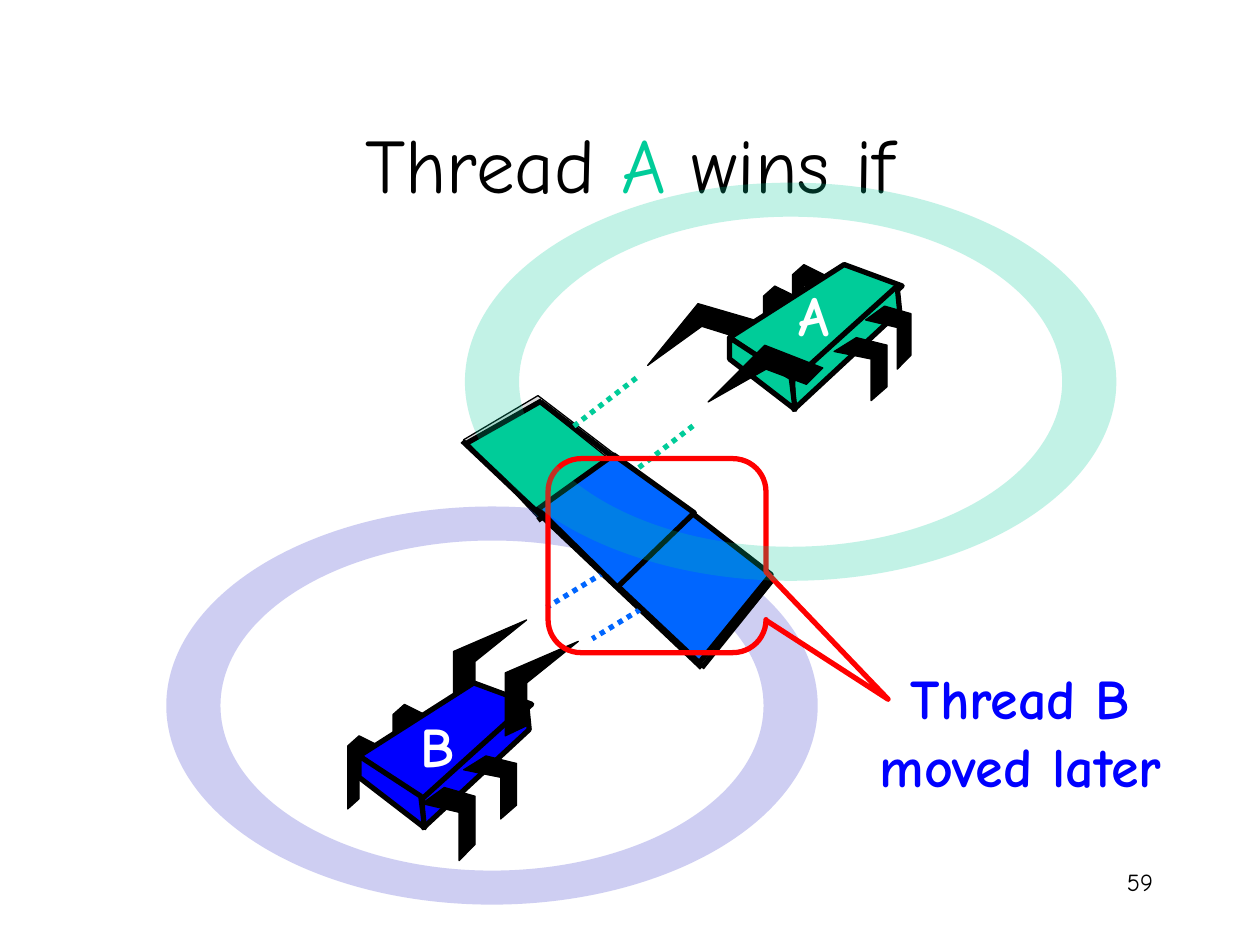
from dataclasses import dataclass

from lxml import etree
from pptx import Presentation
from pptx.dml.color import RGBColor
from pptx.enum.dml import MSO_LINE
from pptx.enum.shapes import MSO_CONNECTOR, MSO_SHAPE
from pptx.enum.text import MSO_ANCHOR, PP_ALIGN
from pptx.oxml import parse_xml
from pptx.oxml.ns import qn
from pptx.util import Inches, Pt

LEFT, CENTER, RIGHT = PP_ALIGN.LEFT, PP_ALIGN.CENTER, PP_ALIGN.RIGHT
MIDDLE = MSO_ANCHOR.MIDDLE
STRAIGHT = MSO_CONNECTOR.STRAIGHT
DOTTED = MSO_LINE.ROUND_DOT
OVAL, CALLOUT = MSO_SHAPE.OVAL, MSO_SHAPE.ROUNDED_RECTANGULAR_CALLOUT
DRAWING = "http://schemas.openxmlformats.org/drawingml/2006/main"


@dataclass(frozen=True)
class Theme:
    """Colours, font and sizes of the slide."""

    font: str = "Comic Neue"
    black: str = "000000"
    white: str = "FFFFFF"
    gray: str = "DDDDDD"
    green: str = "00CC99"
    blue: str = "0000FF"
    cell_blue: str = "0066FF"
    ring_blue: str = "3333CC"
    red: str = "FF0000"
    title: int = 44
    label: int = 32
    number: int = 14
    thin: float = 0.75
    thick: float = 3
    ring_alpha: int = 24


class SlideBuilder:
    """Draws styled elements on the current slide."""

    def __init__(self, slide, theme):
        self.slide = slide
        self.theme = theme

    def style_run(self, run, size, color, bold=False):
        run.font.name = self.theme.font
        run.font.size = Pt(size)
        run.font.bold = bold
        run.font.color.rgb = RGBColor.from_string(color)

    def style_shape(self, shape, fill=None, line=None, width=None):
        shape.shadow.inherit = False
        if fill:
            shape.fill.solid()
            shape.fill.fore_color.rgb = RGBColor.from_string(fill)
        else:
            shape.fill.background()
        if line:
            shape.line.color.rgb = RGBColor.from_string(line)
            shape.line.width = Pt(width)
        else:
            shape.line.fill.background()

    def title(self, box, parts):
        shape = self.slide.shapes.title
        shape.left, shape.top, shape.width, shape.height = map(Inches, box)
        shape.text_frame.vertical_anchor = MIDDLE
        paragraph = shape.text_frame.paragraphs[0]
        paragraph.alignment = CENTER
        for text, color in parts:
            run = paragraph.add_run()
            run.text = text
            self.style_run(run, self.theme.title, color)

    def text(self, box, text, size, color, alignment, bold=False, wrap=True):
        frame = self.slide.shapes.add_textbox(*map(Inches, box)).text_frame
        frame.word_wrap = wrap
        frame.text = text
        paragraph = frame.paragraphs[0]
        paragraph.alignment = alignment
        self.style_run(paragraph.runs[0], size, color, bold)

    def polygon(self, points, fill, width, shapes=None):
        corners = [(Inches(x), Inches(y)) for x, y in points]
        builder = (shapes or self.slide.shapes).build_freeform(*corners[0])
        builder.add_line_segments(corners[1:], close=True)
        self.style_shape(builder.convert_to_shape(), fill, self.theme.black, width)

    def line(self, start, end, color, dash=None):
        connector = self.slide.shapes.add_connector(STRAIGHT, *map(Inches, (*start, *end)))
        connector.line.color.rgb = RGBColor.from_string(color)
        connector.line.width = Pt(self.theme.thick)
        if dash:
            connector.line.dash_style = dash
        etree.SubElement(connector._element.spPr, qn("a:effectLst"))

    def ring(self, left, top, color):
        width, height, side, edge = map(Inches, (5.17, 3.16, 0.43, 0.27))
        shape = self.slide.shapes.add_shape(OVAL, Inches(left), Inches(top), width, height)
        self.style_shape(shape, color)
        arcs = "".join(
            f'<a:moveTo><a:pt x="{inset}" y="{height // 2}"/></a:moveTo>'
            f'<a:arcTo wR="{width // 2 - inset}" hR="{height // 2 - rim}"'
            f' stAng="10800000" swAng="{sweep}"/><a:close/>'
            for inset, rim, sweep in ((0, 0, 21600000), (side, edge, -21600000))
        )
        geometry = parse_xml(
            f'<a:custGeom xmlns:a="{DRAWING}"><a:avLst/><a:gdLst/><a:ahLst/><a:cxnLst/>'
            '<a:rect l="0" t="0" r="r" b="b"/><a:pathLst>'
            f'<a:path w="{width}" h="{height}">{arcs}</a:path></a:pathLst></a:custGeom>'
        )
        properties = shape._element.spPr
        properties.replace(properties.find(qn("a:prstGeom")), geometry)
        tint = properties.find(qn("a:solidFill"))[0]
        etree.SubElement(tint, qn("a:alpha"), val=str(self.theme.ring_alpha * 1000))

    def callout(self, box, adjustments, color):
        shape = self.slide.shapes.add_shape(CALLOUT, *map(Inches, box))
        for index, value in enumerate(adjustments):
            shape.adjustments[index] = value
        self.style_shape(shape, None, color, self.theme.thick)

    def bug(self, origin, color, far_claw, back_legs, front_legs, near_claw):
        shapes = self.slide.shapes.add_group_shape().shapes
        black, thin, thick = self.theme.black, self.theme.thin, self.theme.thick
        self.polygon(far_claw, black, thin, shapes)
        for leg in back_legs:
            self.polygon(place(BACK_LEG, leg), black, thin, shapes)
        for face in BODY_FACES:
            self.polygon(place(face, origin), color, thick, shapes)
        for x, y, width, height in front_legs:
            self.polygon(place(FRONT_LEG, (x, y), (width, height)), black, thin, shapes)
        self.polygon(near_claw, black, thin, shapes)


def place(points, origin, scale=(1, 1)):
    """Scale points and move them to an origin."""
    return [(origin[0] + x * scale[0], origin[1] + y * scale[1]) for x, y in points]


BACK_LEG = [(0.25, 0.08), (0.09, 0), (0, 0.08), (0, 0.58), (0.09, 0.5), (0.09, 0.16), (0.25, 0.25)]
FRONT_LEG = [(0.42, 0), (0, 0.22), (0.7, 0.34), (0.7, 1), (1, 0.78), (1, 0.12)]
CLAW = [(0, 0.75), (0.17, 0.67), (0.17, 0.33), (0.58, 0), (0, 0.25)]
BODY_FACES = [
    [(0.91, 0), (0, 0.58), (0.51, 0.93), (1.37, 0.17)],
    [(1.33, 0.17), (0.5, 0.92), (0.51, 1.15), (1.35, 0.37)],
    [(0, 0.58), (0, 0.75), (0.52, 1.15), (0.49, 0.9)],
]

theme = Theme()
presentation = Presentation()
presentation.slide_width, presentation.slide_height = Inches(10), Inches(7.5)
slide = presentation.slides.add_slide(presentation.slide_layouts[5])
builder = SlideBuilder(slide, theme)

builder.text((7.17, 6.83, 2.08, 0.5), "59", theme.number, theme.black, RIGHT)
for points, fill in (
    ([(4.27, 3.14), (3.68, 3.49), (5.54, 5.24), (6.13, 4.56)], theme.gray),
    ([(4.29, 4.08), (4.92, 4.7), (5.52, 4.11), (4.89, 3.65)], theme.green),
    ([(4.27, 3.19), (3.71, 3.51), (4.27, 4.11), (4.87, 3.67)], theme.green),
    ([(5.51, 4.11), (4.9, 4.68), (5.58, 5.24), (6.14, 4.6)], theme.gray),
):
    builder.polygon(points, fill, theme.thin)
builder.ring(1.32, 4.02, theme.ring_blue)
builder.title(
    (0.75, 0.67, 8.5, 1.25),
    [("Thread ", theme.black), ("A", theme.green), (" wins if", theme.black)],
)
builder.bug(
    (2.85, 5.42), theme.blue, place(CLAW, (3.6, 4.92)),
    [(2.76, 5.84), (3.12, 5.59)],
    [(3.35, 6.25, 0.42, 0.58), (3.68, 6, 0.42, 0.5)],
    place(CLAW, (4.01, 5.09)),
)
builder.bug(
    (5.79, 2.1), theme.green,
    [(6.02, 2.55), (5.89, 2.69), (5.57, 2.59), (5.14, 2.9), (5.54, 2.41)],
    [(6.29, 2.1), (6.06, 2.27)],
    [(6.87, 2.43, 0.36, 0.5), (6.62, 2.68, 0.42, 0.5)],
    [(6.53, 2.92), (6.4, 3.05), (6.08, 2.93), (5.62, 3.19), (6.07, 2.74)],
)
for start, end in (
    ((3.67, 3.5), (5.57, 5.3)),
    ((4.29, 3.19), (6.14, 4.6)),
    ((3.7, 3.52), (4.3, 3.18)),
    ((5.57, 5.3), (6.14, 4.59)),
    ((4.92, 4.68), (5.54, 4.13)),
    ((4.27, 4.13), (4.89, 3.67)),
):
    builder.line(start, end, theme.black)
for x, y, width, height, color in (
    (5.05, 3, 0.7, 0.54, theme.green),
    (5.5, 3.38, 0.7, 0.54, theme.green),
    (5.08, 4.37, 0.74, 0.45, theme.cell_blue),
    (5.44, 4.62, 0.74, 0.45, theme.cell_blue),
):
    builder.line((x, y), (x - width, y + height), color, DOTTED)
for box, name in (((6.15, 2.18, 0.53, 0.63), "A"), ((3.23, 5.6, 0.48, 0.63), "B")):
    builder.text(box, name, theme.label, theme.white, RIGHT, bold=True, wrap=False)
for points in (
    [(5.49, 4.07), (4.89, 4.64), (5.55, 5.26), (6.12, 4.56)],
    [(4.27, 4.04), (4.9, 4.66), (5.51, 4.07), (4.87, 3.61)],
):
    builder.polygon(points, theme.cell_blue, theme.thick)
builder.text(
    (6.51, 5.22, 3.18, 1.17), "Thread B moved later", theme.label, theme.blue, CENTER, bold=True
)
builder.callout((4.35, 3.64, 1.73, 1.54), (1.06, 0.74, 0.17), theme.red)
builder.ring(3.69, 1.45, theme.green)
presentation.save("out.pptx")
